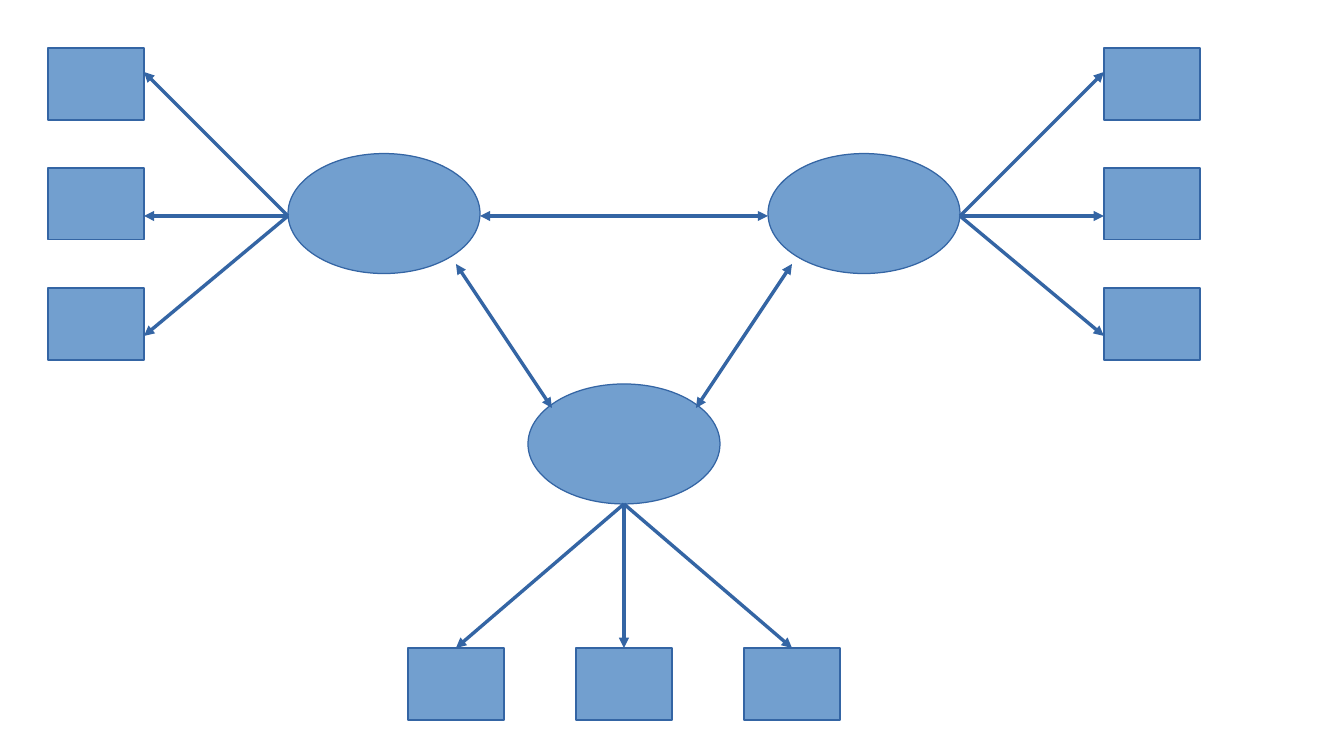
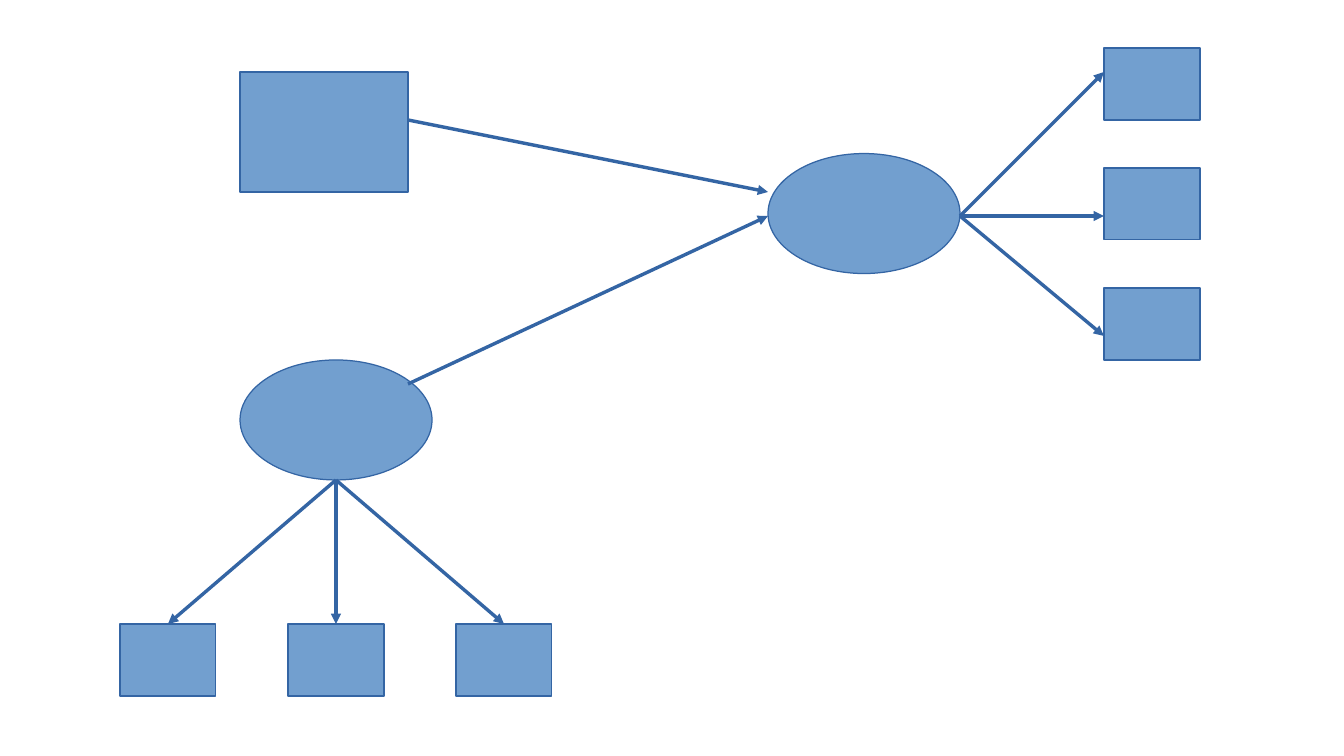
from pptx import Presentation
from pptx.dml.color import RGBColor
from pptx.enum.shapes import MSO_CONNECTOR, MSO_SHAPE
from pptx.oxml.ns import qn
from pptx.util import Pt
from lxml.etree import SubElement

COLORS = {"fill": "729FCF", "line": "3465A4"}
UNIT = 28.35  # points in one grid step; all places count in steps
HUB = (4, 2.5)
BOX = (2, 1.5)


def put(slide, kind, x, y, size):
    shape = slide.shapes.add_shape(
        kind, *[Pt(v * UNIT) for v in (x, y, *size)])
    shape.shadow.inherit = False
    shape.fill.solid()
    shape.fill.fore_color.rgb = RGBColor.from_string(COLORS["fill"])
    shape.line.color.rgb = RGBColor.from_string(COLORS["line"])
    shape.line.width = Pt(0)
    return shape


def link(slide, start, end, heads=("tailEnd",)):
    line = slide.shapes.add_connector(
        MSO_CONNECTOR.STRAIGHT, *[Pt(v * UNIT) for v in (*start, *end)])
    line.line.color.rgb = RGBColor.from_string(COLORS["line"])
    line.line.width = Pt(0)
    for head in heads:
        SubElement(line.line._get_or_add_ln(), qn("a:" + head), type="triangle")
    SubElement(line._element.spPr, qn("a:effectLst"))
    return line


deck = Presentation()
deck.slide_width, deck.slide_height = Pt(28 * UNIT), Pt(15.75 * UNIT)

# Each slide: place of the lower hub, and the sides that have a hub
plans = [((11, 8), ("right", "left")), ((5, 7.5), ("right",))]
pages = []
for (left, top), sides in plans:
    page = deck.slides.add_slide(deck.slide_layouts[6])
    pages.append(page)

    # Lower hub with a row of boxes beneath
    put(page, MSO_SHAPE.OVAL, left, top, HUB)
    mid, low = left + HUB[0] / 2, top + HUB[1]
    for step in (-3.5, 0, 3.5):
        box = put(page, MSO_SHAPE.RECTANGLE, left + 1 + step, low + 3, BOX)
        line = link(page, (mid, low), (mid + step, low + 3))
        line.end_connect(box, 0)

    # Side hubs with a column of boxes; the left one mirrors the right
    for side in sides:
        hub, edge, near, col = (
            (16, 20, 23, 23) if side == "right" else (6, 6, 3, 1))
        put(page, MSO_SHAPE.OVAL, hub, 3.2, HUB)
        for row, tip in ((1, 1.5), (3.5, 4.5), (6, 7)):
            put(page, MSO_SHAPE.RECTANGLE, col, row, BOX)
            link(page, (edge, 4.5), (near, tip))

# Slide 1: two-way links between the hubs
for start, end in (((10, 4.5), (16, 4.5)),
                   ((9.5, 5.5), (11.5, 8.5)),
                   ((14.5, 8.5), (16.5, 5.5))):
    link(pages[0], start, end, ("headEnd", "tailEnd"))

# Slide 2: large box, and links into the right hub
link(pages[1], (8.5, 8), (16, 4.5))
put(pages[1], MSO_SHAPE.RECTANGLE, 5, 1.5, (3.5, 2.5))
link(pages[1], (8.5, 2.5), (16, 4))

deck.save("out.pptx")
